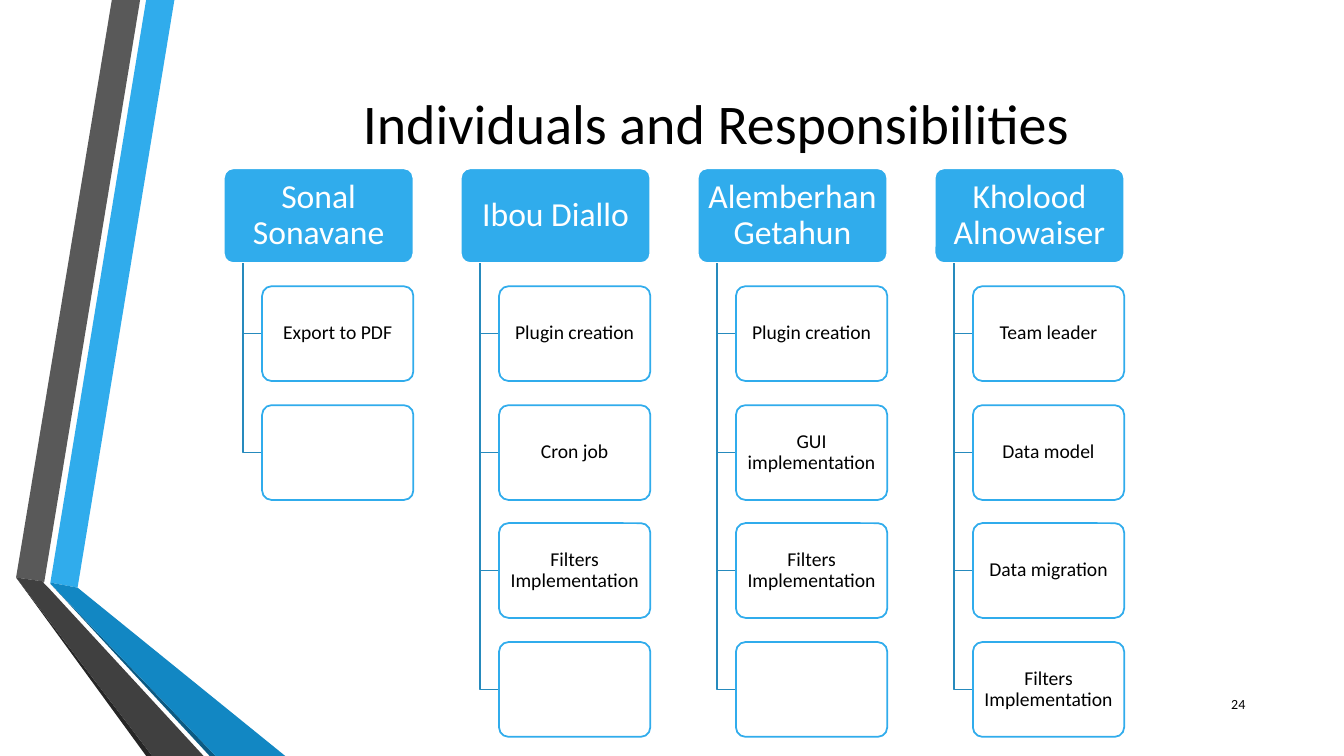
from pptx import Presentation
from pptx.dml.color import RGBColor
from pptx.enum.shapes import MSO_SHAPE
from pptx.enum.text import MSO_ANCHOR, PP_ALIGN
from pptx.util import Pt

PX = 9144
ROUND = MSO_SHAPE.ROUNDED_RECTANGLE
MIDDLE = MSO_ANCHOR.MIDDLE
CENTER, RIGHT = PP_ALIGN.CENTER, PP_ALIGN.RIGHT
BLUE, WHITE, BLACK, LINK = "30ACEC", "FFFFFF", "000000", "268ABD"

FACETS = [
    (BLUE, [(50, 578), (77, 583), (173, 0), (145, 0)]),
    ("595959", [(139, 0), (111, 0), (16, 573), (44, 577)]),
    ("262626", [(16, 573), (145, 750), (151, 750)]),
    ("0C5A82", [(50, 579), (208, 750), (214, 750)]),
    ("1287C3", [(50, 579), (214, 750), (283, 750), (77, 583), (50, 578)]),
    ("404040", [(202, 750), (48, 583), (43, 578), (44, 577), (16, 573), (151, 750)]),
]

TEAM = [
    ("Sonal Sonavane", ["Export to PDF", ""]),
    ("Ibou Diallo", ["Plugin creation", "Cron job", "Filters Implementation", ""]),
    ("Alemberhan Getahun",
     ["Plugin creation", "GUI implementation", "Filters Implementation", ""]),
    ("Kholood Alnowaiser",
     ["Team leader", "Data model", "Data migration", "Filters Implementation"]),
]


def color(code):
    return RGBColor.from_string(code)


def place(box):
    return [n * PX for n in box]


def write(shape, text, size, tint, align=CENTER, pad=(10, 5), space=1.0):
    frame = shape.text_frame
    frame.word_wrap = True
    frame.vertical_anchor = MIDDLE
    frame.margin_left = frame.margin_right = pad[0] * PX
    frame.margin_top = frame.margin_bottom = pad[1] * PX
    frame.text = text
    para = frame.paragraphs[0]
    para.alignment = align
    para.line_spacing = space
    for run in para.runs:
        run.font.size = Pt(size)
        run.font.name = "Calibri"
        run.font.color.rgb = color(tint)


def label(slide, box, text, size, align):
    write(slide.shapes.add_textbox(*place(box)), text, size, BLACK, align)


def trace(slide, points, close):
    pen = slide.shapes.build_freeform(*points[0], scale=PX)
    pen.add_line_segments(points[1:], close=close)
    shape = pen.convert_to_shape()
    shape.shadow.inherit = False
    return shape


def ribbon(slide, left, top):
    for fill, points in FACETS:
        facet = trace(slide, [(left + x, top + y) for x, y in points], True)
        facet.fill.solid()
        facet.fill.fore_color.rgb = color(fill)
        facet.line.fill.background()


def card(slide, box, text, size, fill, edge, tint, pad):
    shape = slide.shapes.add_shape(ROUND, *place(box))
    shape.adjustments[0] = 0.1
    shape.shadow.inherit = False
    shape.fill.solid()
    shape.fill.fore_color.rgb = color(fill)
    shape.line.color.rgb = color(edge)
    shape.line.width = Pt(1.25)
    write(shape, text, size, tint, pad=pad, space=0.9)


def elbow(slide, left, top, right, bottom):
    bend = trace(slide, [(left, top), (left, bottom), (right, bottom)], False)
    bend.fill.background()
    bend.line.color.rgb = color(LINK)
    bend.line.width = Pt(1.25)


def column(slide, box, name, tasks):
    left, top, width, height = box
    indent = width // 5 + 1
    card(slide, box, name, 24, BLUE, WHITE, WHITE, (5, 3))
    for row, task in enumerate(tasks, 1):
        y = top + row * height * 5 // 4
        x = left + indent
        elbow(slide, left + indent // 2, top + height, x, y + height // 2)
        card(slide, (x, y, width - indent, height), task, 14,
             WHITE, BLUE, BLACK, (3, 2))


def chart(slide, left, top):
    width, height = 188, 94
    for index, (name, tasks) in enumerate(TEAM):
        x = left + index * width * 5 // 4
        column(slide, (x, top, width, height), name, tasks)


def main():
    deck = Presentation()
    deck.slide_width, deck.slide_height = place((1333, 750))
    slide = deck.slides.add_slide(deck.slide_layouts[6])
    ribbon(slide, 0, 0)
    label(slide, (162, 75, 1096, 92), "Individuals and Responsibilities", 40, CENTER)
    chart(slide, 222, 167)
    label(slide, (1185, 678, 60, 40), "24", 10, RIGHT)
    deck.save("out.pptx")


if __name__ == "__main__":
    main()
